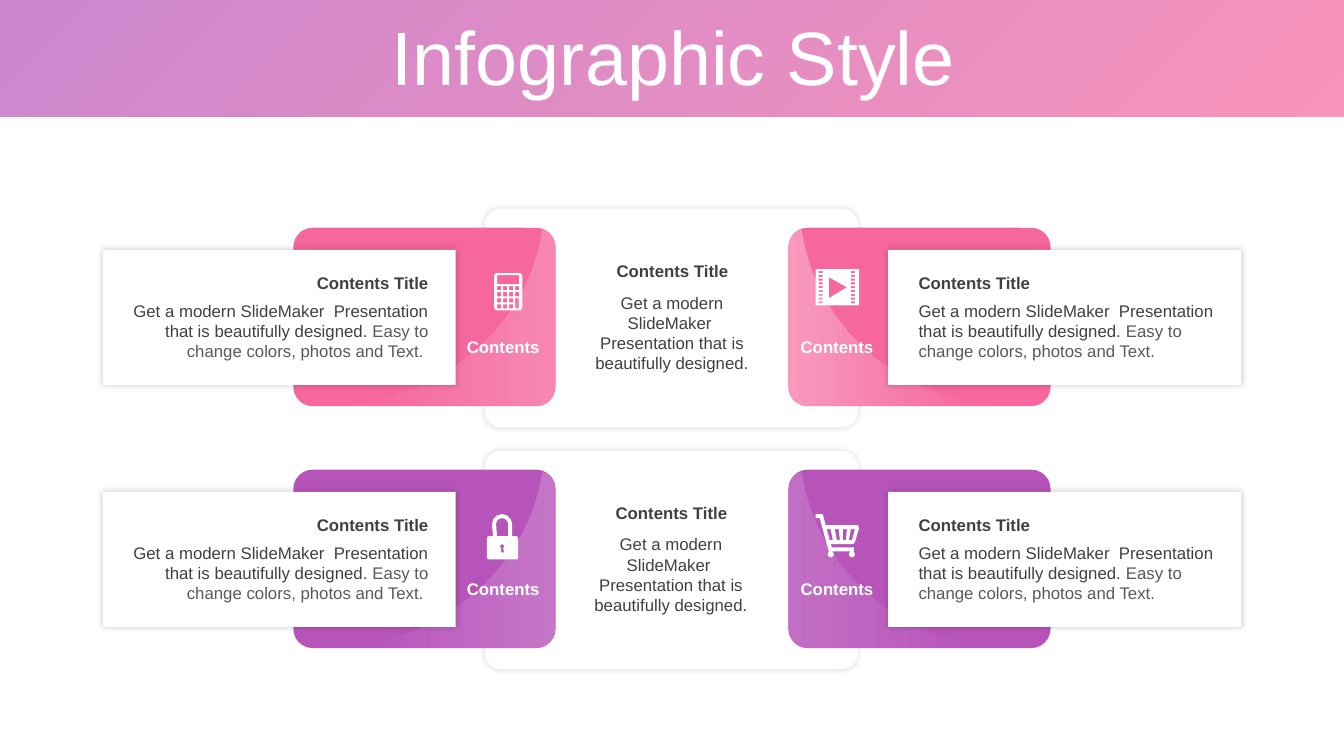
import math
from dataclasses import dataclass

import lxml.etree
import pptx
import pptx.dml.color
import pptx.enum.shapes
import pptx.enum.text
import pptx.oxml
import pptx.oxml.ns
import pptx.util

Inches = pptx.util.Inches
SHAPE = pptx.enum.shapes.MSO_SHAPE
ALIGN = pptx.enum.text.PP_ALIGN
Point = tuple[float, float]
Contour = list[Point]

COLORS = {
    "white": "FFFFFF", "dark": "404040", "gray": "595959", "black": "000000",
    "pink": "F5679D", "pink_left": "F787B2", "pink_right": "F899BD",
    "purple": "B754BA", "purple_left": "C576C8", "purple_right": "C26EC4",
}
SLIDE_W = 13.33
ROW_PITCH = 2.4
HEADING = "Contents Title"
BODY = "Get a modern SlideMaker  Presentation that is beautifully designed. "
BODY_END = "Easy to change colors, photos and Text."


@dataclass
class Side:
    name: str
    panel_x: float
    box_x: float
    text_x: float
    text_w: float
    label_x: float
    align: int
    shine_w: float
    shine_angle: int
    ending: str


@dataclass
class Row:
    color: str
    dy: float
    center_x: float


@dataclass
class Span:
    text: str
    color: str = "dark"
    bold: bool = False


SIDES = [
    Side("left", 2.91, 1.02, 1.17, 3.2, 4.51, ALIGN.RIGHT, 2.07, 180, BODY_END + " "),
    Side("right", 7.82, 8.81, 8.99, 3.18, 7.82, ALIGN.LEFT, 2.03, 0, BODY_END),
]
ROWS = [Row("pink", 0, 5.76), Row("purple", ROW_PITCH, 5.75)]


# Formatting helpers
def rgb(name: str) -> pptx.dml.color.RGBColor:
    return pptx.dml.color.RGBColor.from_string(COLORS[name])


def set_gradient(sp, stops: list[tuple[int, str]], angle: int, alpha: int = 100) -> None:
    sp.fill.gradient()
    grad = sp.element.spPr.find(pptx.oxml.ns.qn("a:gradFill"))
    items = "".join(
        f'<a:gs pos="{pos * 1000}"><a:srgbClr val="{COLORS[color]}">'
        f'<a:alpha val="{alpha * 1000}"/></a:srgbClr></a:gs>' for pos, color in stops)
    new = pptx.oxml.parse_xml(
        f'<a:gradFill {pptx.oxml.ns.nsdecls("a")} rotWithShape="1"><a:gsLst>{items}</a:gsLst>'
        f'<a:lin ang="{angle * 60000}" scaled="0"/></a:gradFill>')
    grad.getparent().replace(grad, new)


def set_glow_shadow(sp, alpha: int) -> None:
    effects = sp.element.spPr.find(pptx.oxml.ns.qn("a:effectLst"))
    shadow = lxml.etree.SubElement(
        effects, pptx.oxml.ns.qn("a:outerShdw"), blurRad=str(pptx.util.Pt(5)), dist="0",
        dir="0", algn="ctr", rotWithShape="0")
    color = lxml.etree.SubElement(shadow, pptx.oxml.ns.qn("a:srgbClr"), val=COLORS["black"])
    lxml.etree.SubElement(color, pptx.oxml.ns.qn("a:alpha"), val=str(alpha * 1000))


def finish(sp, color: str) -> None:
    sp.shadow.inherit = False
    sp.line.fill.background()
    sp.fill.solid()
    sp.fill.fore_color.rgb = rgb(color)


def add_block(s, x: float, y: float, w: float, h: float, color: str,
              radius: float = 0, shadow: int = 0):
    kind = SHAPE.ROUNDED_RECTANGLE if radius else SHAPE.RECTANGLE
    sp = s.shapes.add_shape(kind, Inches(x), Inches(y), Inches(w), Inches(h))
    if radius:
        sp.adjustments[0] = radius
    finish(sp, color)
    if shadow:
        set_glow_shadow(sp, shadow)
    return sp


def add_outline(s, contours: list[Contour], color: str):
    scaled = [[(Inches(x), Inches(y)) for x, y in c] for c in contours]
    builder = s.shapes.build_freeform(*scaled[0][0], scale=1.0)
    for i, points in enumerate(scaled):
        if i:
            builder.move_to(*points[0])
        builder.add_line_segments(points[1:], close=True)
    sp = builder.convert_to_shape()
    finish(sp, color)
    return sp


def add_text(s, x: float, y: float, w: float, h: float, align: int, spans: list[Span]) -> None:
    tf = s.shapes.add_textbox(Inches(x), Inches(y), Inches(w), Inches(h)).text_frame
    tf.word_wrap = True
    tf.auto_size = pptx.enum.text.MSO_AUTO_SIZE.SHAPE_TO_FIT_TEXT
    tf.margin_left = tf.margin_right = Inches(0.12)
    p = tf.paragraphs[0]
    p.alignment = align
    for span in spans:
        r = p.add_run()
        r.text = span.text
        r.font.name, r.font.size, r.font.bold = "Arial", pptx.util.Pt(12), span.bold
        r.font.color.rgb = rgb(span.color)


# Contours
def rect(x: float, y: float, w: float, h: float) -> Contour:
    return [(x, y), (x + w, y), (x + w, y + h), (x, y + h)]


def arc(cx: float, cy: float, r: float, start: int, end: int) -> Contour:
    steps = max(3, abs(end - start) // 30)
    angles = [math.radians(start + (end - start) * i / steps) for i in range(steps + 1)]
    return [(cx + r * math.cos(a), cy + r * math.sin(a)) for a in angles]


def rounded(x: float, y: float, w: float, h: float, r: float) -> Contour:
    right, bottom = x + w - r, y + h - r
    return (arc(x + r, y + r, r, 180, 270) + arc(right, y + r, r, 270, 360)
            + arc(right, bottom, r, 0, 90) + arc(x + r, bottom, r, 90, 180))


def bezier(a: Point, b: Point, c: Point, d: Point, steps: int) -> Contour:
    return [tuple((1 - t) ** 3 * a[k] + 3 * (1 - t) ** 2 * t * b[k]
                  + 3 * (1 - t) * t ** 2 * c[k] + t ** 3 * d[k] for k in (0, 1))
            for t in (i / steps for i in range(steps + 1))]


def shine(side: Side, dy: float) -> Contour:
    tail = 5.51 - side.shine_w
    points = (bezier((5.38, 2.28), (5.46, 2.3), (5.51, 2.37), (5.51, 2.45), 4)
              + arc(5.32, 3.84, 0.19, 0, 90)
              + bezier((tail, 4.03), (tail + 1.01, 3.92), (5.25, 3.2), (5.38, 2.28), 14))
    return [(x if side.name == "left" else SLIDE_W - x, y + dy) for x, y in points]


# Icons
def calculator() -> list[Contour]:
    keys = [rect(4.93 + 0.06 * col, 2.84 + 0.06 * row, 0.04, 0.04)
            for row in range(4) for col in range(4) if col < 3 or row < 2]
    return [rounded(4.9, 2.71, 0.28, 0.37, 0.03), rounded(4.93, 2.73, 0.22, 0.09, 0.01),
            rect(5.11, 2.96, 0.04, 0.1)] + keys


def film() -> list[Contour]:
    holes = [rect(x, 2.69 + 0.3 * i / 8, 0.04, 0.02) for x in (8.12, 8.44) for i in range(9)]
    return [rect(8.09, 2.67, 0.43, 0.36), [(8.22, 2.75), (8.22, 2.96), (8.4, 2.85)]] + holes


def padlock() -> list[Contour]:
    shackle = ([(4.89, 5.32)] + arc(4.98, 5.2, 0.1, 180, 360) + [(5.08, 5.32), (5.04, 5.32)]
               + arc(4.98, 5.2, 0.06, 360, 180) + [(4.93, 5.32)])
    keyhole = arc(4.98, 5.42, 0.02, 120, 420) + [(5, 5.48), (4.97, 5.48)]
    return [shackle, rounded(4.83, 5.32, 0.31, 0.23, 0.02), keyhole]


def cart() -> list[Contour]:
    frame = [(8.09, 5.1), (8.16, 5.1), (8.19, 5.21), (8.51, 5.21), (8.52, 5.24), (8.48, 5.38),
             (8.46, 5.4), (8.24, 5.4), (8.25, 5.43), (8.47, 5.43), (8.47, 5.47), (8.22, 5.47),
             (8.13, 5.14), (8.09, 5.14)]
    slots = [[(top, 5.25), (top + 0.04, 5.25), (low + 0.03, 5.36), (low, 5.36)]
             for top, low in ((8.2, 8.23), (8.28, 8.3), (8.36, 8.36), (8.44, 8.42))]
    return [frame] + slots + [arc(x, 5.5, 0.03, 0, 360) for x in (8.24, 8.45)]


# Slide parts
def add_header(s) -> None:
    title = s.shapes.title
    title.left, title.top, title.width, title.height = map(Inches, (0.35, 0.21, 12.66, 0.79))
    tf = title.text_frame
    tf.text = "Infographic Style"
    tf.auto_size = pptx.enum.text.MSO_AUTO_SIZE.NONE
    tf.vertical_anchor = pptx.enum.text.MSO_ANCHOR.MIDDLE
    p = tf.paragraphs[0]
    p.alignment, p.line_spacing = ALIGN.CENTER, 0.9
    font = p.runs[0].font
    font.name, font.size, font.color.rgb = "Arial", pptx.util.Pt(54), rgb("white")
    banner = add_block(s, 0, 0, SLIDE_W, 1.16, "pink")
    set_gradient(banner, [(0, "pink"), (100, "purple")], 225, alpha=70)
    title.element.addprevious(banner.element)


def add_row(s, row: Row) -> None:
    dy = row.dy
    add_block(s, 4.81, 2.07 + dy, 3.7, 2.17, "white", radius=0.073, shadow=14)
    for side in SIDES:
        add_block(s, side.panel_x, 2.26 + dy, 2.6, 1.77, row.color, radius=0.108)
        sp = add_outline(s, [shine(side, dy)], row.color)
        set_gradient(sp, [(0, f"{row.color}_{side.name}"), (94, row.color)], side.shine_angle)
        add_block(s, side.box_x, 2.48 + dy, 3.5, 1.34, "white", shadow=22)
        add_text(s, side.text_x, 2.93 + dy, side.text_w, 0.71, side.align,
                 [Span(BODY), Span(side.ending, "gray")])
        add_text(s, side.text_x, 2.66 + dy, side.text_w, 0.3, side.align,
                 [Span(HEADING, bold=True)])
        add_text(s, side.label_x, 3.29 + dy, 1.01, 0.3, ALIGN.CENTER,
                 [Span("Contents ", "white", True)])
    add_text(s, row.center_x, 2.54 + dy, 1.82, 0.3, ALIGN.CENTER, [Span(HEADING, bold=True)])
    add_text(s, row.center_x + 0.01, 2.85 + dy, 1.79, 0.91, ALIGN.CENTER, [Span(BODY)])


def main() -> None:
    prs = pptx.Presentation()
    prs.slide_width, prs.slide_height = Inches(SLIDE_W), Inches(7.5)
    s = prs.slides.add_slide(prs.slide_layouts[5])
    add_header(s)
    for row in ROWS:
        add_row(s, row)
    for icon in (calculator, film, padlock, cart):
        add_outline(s, icon(), "white")
    prs.save("out.pptx")


if __name__ == "__main__":
    main()
